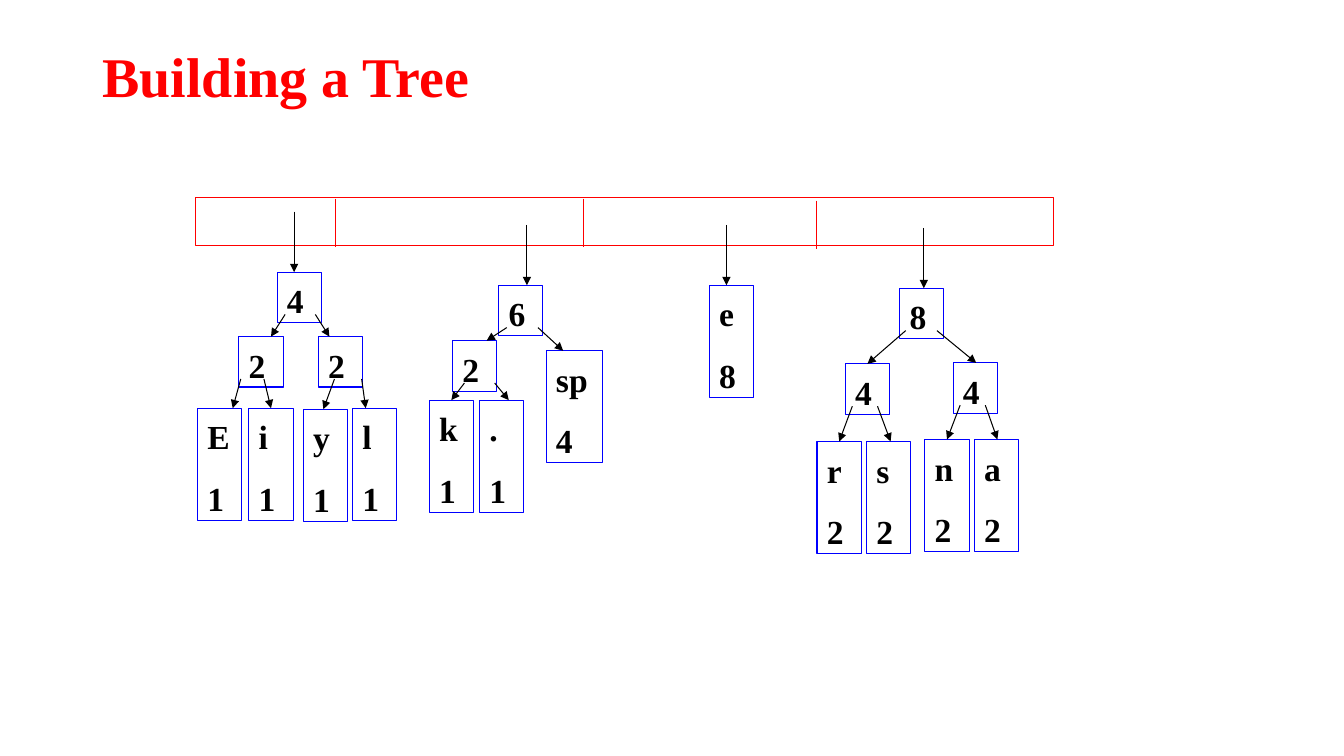
import pptx
import pptx.util
import pptx.dml.color
import pptx.enum.shapes
import pptx.enum.text
import pptx.oxml.ns
from lxml import etree

# Content: lengths in px, 100 to the inch
EMU_PER_PX = 9144
SLIDE = (1334, 750)
COLORS = {"title": "FF0000", "queue": "FF0000", "paper": "FFFFFF",
          "node": "0000FF", "arrow": "000000", "text": "000000"}
FONT = "Times New Roman"

TITLE = ("Building a Tree", (92, 40, 1150, 77))
QUEUE = (194, 196, 852, 48)
DIVIDERS = [(333, 197), (579, 197), (810, 199)]  # left, top

# Node: lines, left, top, x of the arrow into it, [(x of the arrow out, child)]
TREES = [
    (["4"], 275, 270, 292, [
        (283, (["2"], 237, 334, 269, [
            (239, (["E", "1"], 196, 405, 231, [])),
            (262, (["i", "1"], 247, 405, 269, []))])),
        (313, (["2"], 316, 334, 327, [
            (332, (["y", "1"], 301, 406, 321, [])),
            (359, (["l", "1"], 350, 405, 363, []))]))]),
    (["6"], 495, 283, 523, [
        (503, (["2"], 449, 338, 483, [
            (461, (["k", "1"], 426, 397, 448, [])),
            (491, ([".", "1"], 476, 397, 505, []))])),
        (534, (["sp", "4"], 542, 348, 559, []))]),
    (["e", "8"], 704, 283, 721, []),
    (["8"], 893, 286, 917, [
        (899, (["4"], 839, 361, 861, [
            (846, (["r", "2"], 811, 438, 833, [])),
            (871, (["s", "2"], 860, 438, 884, []))])),
        (930, (["4"], 946, 360, 969, [
            (953, (["n", "2"], 918, 436, 940, [])),
            (978, (["a", "2"], 967, 436, 990, []))]))]),
]
NODE_HEIGHTS = {1: 50, 2: 111}  # by number of lines
NODE_WIDTHS = {1: 44, 2: 56}  # by letters in the label
ARROW_DROP = 42  # from the top of a node to the start of its arrows
ROOT_ARROW = 60

deck = pptx.Presentation()
deck.slide_width, deck.slide_height = (n * EMU_PER_PX for n in SLIDE)
slide = deck.slides.add_slide(deck.slide_layouts[6])


def px(*lengths):
    return [pptx.util.Emu(n * EMU_PER_PX) for n in lengths]


def rgb(name):
    return pptx.dml.color.RGBColor.from_string(COLORS[name])


def write(frame, lines, size, color, insets=(10, 5, 10, 5)):
    frame.word_wrap = True
    (frame.margin_left, frame.margin_top,
     frame.margin_right, frame.margin_bottom) = px(*insets)
    frame.text = "\n".join(lines)
    for i, paragraph in enumerate(frame.paragraphs):
        paragraph.alignment = pptx.enum.text.PP_ALIGN.LEFT
        if i:
            paragraph.space_before = pptx.util.Pt(15)
        font = paragraph.runs[0].font
        font.name, font.size, font.bold = FONT, pptx.util.Pt(size), True
        font.color.rgb = rgb(color)


def add_box(place, line):
    box = slide.shapes.add_shape(
        pptx.enum.shapes.MSO_SHAPE.RECTANGLE, *px(*place))
    box.shadow.inherit = False
    box.fill.background()
    box.line.color.rgb = rgb(line)
    box.line.width = pptx.util.Pt(0.75)
    return box


def add_line(start, end, color, arrow=False):
    line = slide.shapes.add_connector(
        pptx.enum.shapes.MSO_CONNECTOR.STRAIGHT, *px(*start, *end))
    line.line.color.rgb = rgb(color)
    line.line.width = pptx.util.Pt(0.75)
    qn = pptx.oxml.ns.qn
    if arrow:
        etree.SubElement(line.line._get_or_add_ln(), qn("a:tailEnd"),
                         type="triangle")
    etree.SubElement(line._element.spPr, qn("a:effectLst"))


def add_tree(node, arrow_start):
    lines, left, top, entry, children = node
    box = add_box((left, top, NODE_WIDTHS[len(lines[0])],
                   NODE_HEIGHTS[len(lines)]), "node")
    box.text_frame.vertical_anchor = pptx.enum.text.MSO_ANCHOR.TOP
    write(box.text_frame, lines, 24, "text", (10, 8, 10, 5))
    add_line(arrow_start, (entry, top), "arrow", arrow=True)
    for exit_x, child in children:
        add_tree(child, (exit_x, top + ARROW_DROP))


# Title
heading, place = TITLE
title = slide.shapes.add_textbox(*px(*place))
title.text_frame.vertical_anchor = pptx.enum.text.MSO_ANCHOR.MIDDLE
write(title.text_frame, [heading], 40, "title")
title.text_frame.paragraphs[0].line_spacing = 0.9

# Queue with its dividers
queue = add_box(QUEUE, "queue")
queue.fill.solid()
queue.fill.fore_color.rgb = rgb("paper")
for x, top in DIVIDERS:
    add_line((x, top), (x, top + QUEUE[3]), "queue")

# Trees hanging from the queue
for root in TREES:
    add_tree(root, (root[3], root[2] - ROOT_ARROW))

deck.save("out.pptx")
